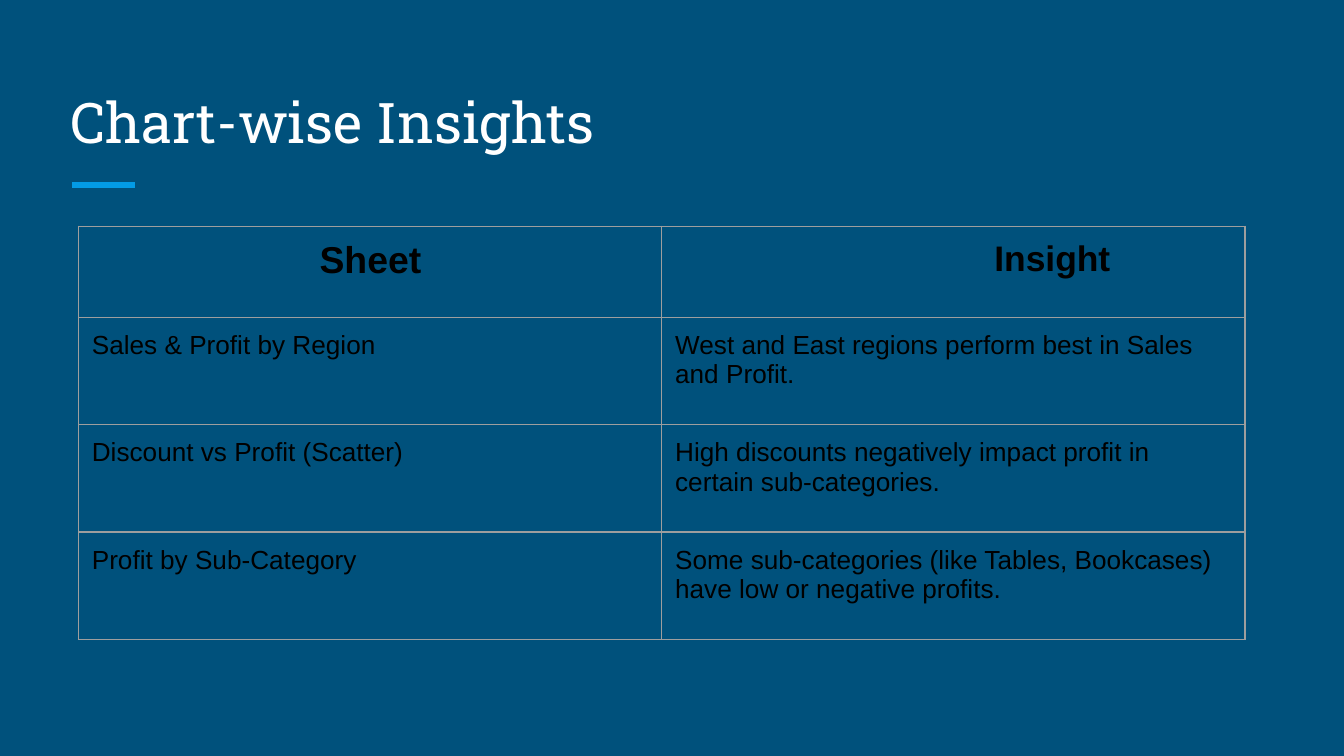
from lxml.etree import SubElement
from pptx import Presentation
from pptx.dml.color import RGBColor
from pptx.enum.shapes import MSO_CONNECTOR as Connector
from pptx.enum.text import MSO_ANCHOR as Anchor
from pptx.oxml.ns import qn
from pptx.util import Pt

# Content
TITLE = "Chart-wise Insights"
HEADERS = [  # text, size, indent
    ("Sheet", 20, 122),
    ("Insight", 19, 171),
]
ROWS = [
    ("Sales & Profit by Region",
     "West and East regions perform best in Sales and Profit."),
    ("Discount vs Profit (Scatter)",
     "High discounts negatively impact profit in certain sub-categories."),
    ("Profit by Sub-Category",
     "Some sub-categories (like Tables, Bookcases) have low or negative profits."),
]

# Format
NAVY, BLUE, GRAY, WHITE, BLACK = "00517C", "039BE5", "9E9E9E", "FFFFFF", "000000"
TITLE_FONT = {"name": "Roboto Slab", "size": Pt(30)}
BODY_FONT = {"name": "Arial", "size": Pt(14), "bold": False}
INSET = 7.2
TABLE_LEFT, TABLE_TOP = 42, 121.2
COLUMN_WIDTH, HEADER_HEIGHT, ROW_HEIGHT = 312.5, 48.8, 57.5


def color(hex_value):
    return RGBColor.from_string(hex_value)


def write(frame, text, font, hex_value):
    span = frame.paragraphs[0].add_run()
    span.text = text
    for name, value in font.items():
        setattr(span.font, name, value)
    span.font.color.rgb = color(hex_value)


def set_insets(target, left=INSET):
    target.margin_left = Pt(left)
    target.margin_top = target.margin_right = target.margin_bottom = Pt(INSET)


def add_borders(cell):
    properties = cell._tc.get_or_add_tcPr()
    for position, side in enumerate(("lnL", "lnR", "lnT", "lnB")):
        border = properties.makeelement(qn(f"a:{side}"), {"w": str(Pt(0.75))})
        fill = SubElement(border, qn("a:solidFill"))
        SubElement(fill, qn("a:srgbClr"), val=GRAY)
        properties.insert(position, border)


def fill_cell(cell, text, font, indent=0):
    set_insets(cell, INSET + indent)
    cell.fill.background()
    write(cell.text_frame, text, font, BLACK)
    add_borders(cell)


deck = Presentation()
deck.slide_width, deck.slide_height = Pt(720), Pt(405)
page = deck.slides.add_slide(deck.slide_layouts[6])
page.background.fill.solid()
page.background.fill.fore_color.rgb = color(NAVY)

# Accent line
accent = page.shapes.add_connector(
    Connector.STRAIGHT, Pt(38.6), Pt(99), Pt(72.3), Pt(99))
accent.line.color.rgb = color(BLUE)
accent.line.width = Pt(3)
SubElement(accent._element.spPr, qn("a:effectLst"))

# Title
title = page.shapes.add_textbox(Pt(30.5), Pt(36), Pt(659), Pt(54)).text_frame
title.word_wrap = True
title.vertical_anchor = Anchor.BOTTOM
set_insets(title)
write(title, TITLE, TITLE_FONT, WHITE)

# Table
heights = [HEADER_HEIGHT] + [ROW_HEIGHT] * len(ROWS)
table = page.shapes.add_table(
    len(heights), len(HEADERS), Pt(TABLE_LEFT), Pt(TABLE_TOP),
    Pt(COLUMN_WIDTH * len(HEADERS)), Pt(sum(heights))).table
table.first_row = table.horz_banding = False
for column in table.columns:
    column.width = Pt(COLUMN_WIDTH)
for row, height in zip(table.rows, heights):
    row.height = Pt(height)

for c, (text, size, indent) in enumerate(HEADERS):
    header_font = {**BODY_FONT, "size": Pt(size), "bold": True}
    fill_cell(table.cell(0, c), text, header_font, indent)
for r, texts in enumerate(ROWS, start=1):
    for c, text in enumerate(texts):
        fill_cell(table.cell(r, c), text, BODY_FONT)

deck.save("out.pptx")
